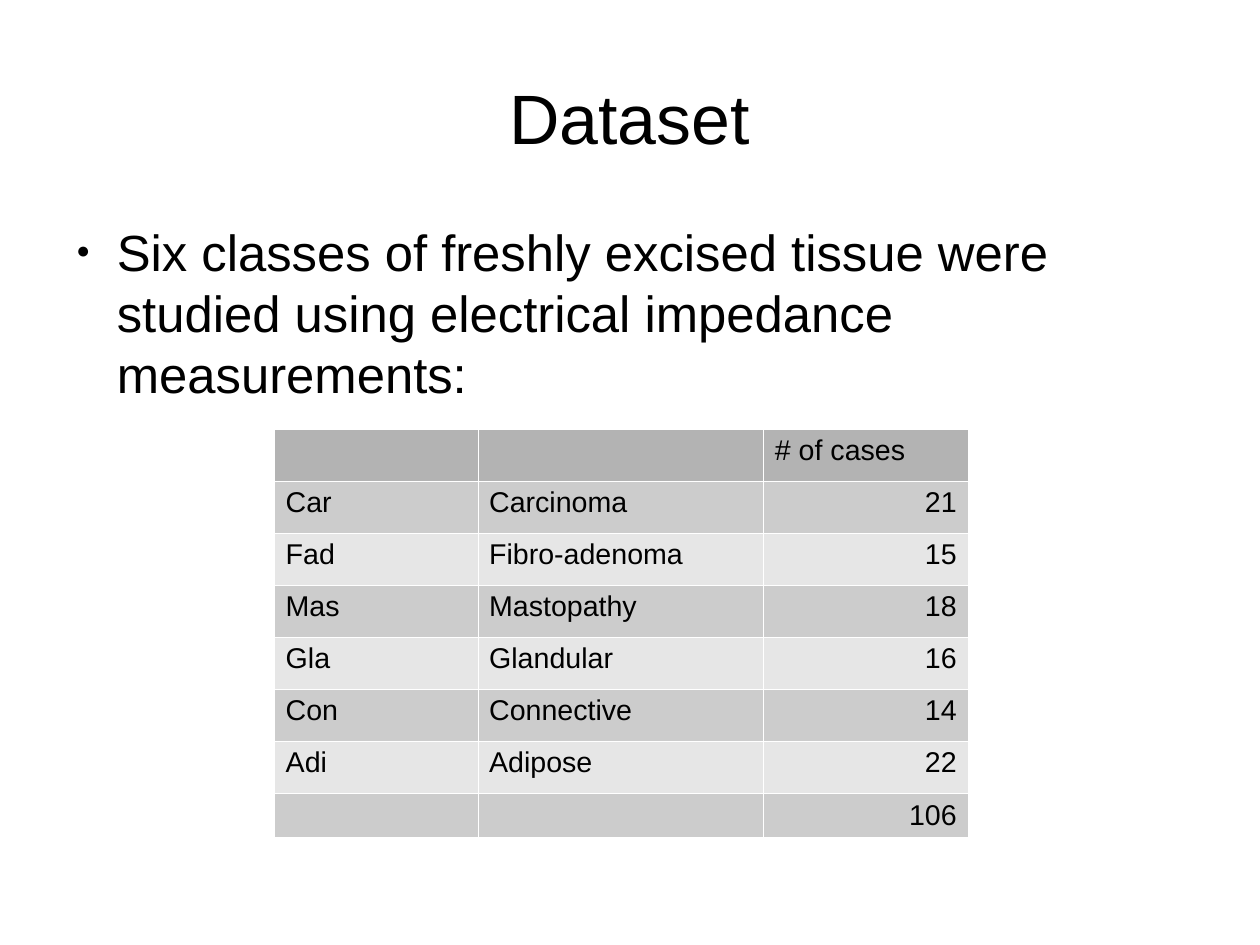
from lxml import etree
from pptx import Presentation
from pptx.dml.color import RGBColor
from pptx.enum import text as t
from pptx.oxml.ns import qn
from pptx.util import Pt

BLACK = RGBColor(0x00, 0x00, 0x00)
WHITE = RGBColor(0xFF, 0xFF, 0xFF)
HEAD = RGBColor(0xB3, 0xB3, 0xB3)
DARK = RGBColor(0xCC, 0xCC, 0xCC)
LIGHT = RGBColor(0xE6, 0xE6, 0xE6)
FONT = "Arial"

ROWS = [
    ("", "", "# of cases"),
    ("Car", "Carcinoma", "21"),
    ("Fad", "Fibro-adenoma", "15"),
    ("Mas", "Mastopathy", "18"),
    ("Gla", "Glandular", "16"),
    ("Con", "Connective", "14"),
    ("Adi", "Adipose", "22"),
    ("", "", "106"),
]
COLS = (128.16, 180, 128.88)
ROW_H, LAST_H = 32.85, 27.4


def style(para, size):
    for run in para.runs:
        run.font.size = Pt(size)
        run.font.name = FONT
        run.font.color.rgb = BLACK


def style_empty(para, size):
    """Give a paragraph without runs its font, which sets the row height."""
    end = etree.SubElement(para._p, qn("a:endParaRPr"), sz=str(size * 100))
    etree.SubElement(end, qn("a:latin"), typeface=FONT)


def fill_holder(holder, box, words, size, anchor):
    """Place a placeholder in the box, set its text and return the paragraph."""
    holder.left, holder.top, holder.width, holder.height = map(Pt, box)
    frame = holder.text_frame
    frame.text = words
    frame.word_wrap = True
    frame.auto_size = t.MSO_AUTO_SIZE.NONE
    frame.vertical_anchor = anchor
    frame.margin_left = frame.margin_right = 0
    frame.margin_top = frame.margin_bottom = 0
    para = frame.paragraphs[0]
    style(para, size)
    return para


def add_title(slide, box):
    para = fill_holder(slide.shapes.title, box, "Dataset", 44,
                       t.MSO_ANCHOR.MIDDLE)
    para.alignment = t.PP_ALIGN.CENTER


def add_body(slide, box):
    words = ("Six classes of freshly excised tissue were studied using "
             "electrical impedance measurements:")
    para = fill_holder(slide.placeholders[1], box, words, 32,
                       t.MSO_ANCHOR.TOP)
    para.space_before = Pt(14.2)
    para.line_spacing = 1.0
    props = para._p.get_or_add_pPr()
    props.set("marL", str(Pt(34)))
    props.set("indent", str(Pt(-25.5)))
    tint = etree.SubElement(props, qn("a:buClr"))
    etree.SubElement(tint, qn("a:srgbClr"), val=str(BLACK))
    etree.SubElement(props, qn("a:buSzPct"), val="45000")
    etree.SubElement(props, qn("a:buFont"), typeface=FONT)
    etree.SubElement(props, qn("a:buChar"), char="●")


def add_edges(cell):
    """Draw thin white borders, which must come before the cell's fill."""
    props = cell._tc.get_or_add_tcPr()
    for i, side in enumerate(("lnL", "lnR", "lnT", "lnB")):
        line = etree.Element(qn("a:" + side), w=str(Pt(0.06)))
        solid = etree.SubElement(line, qn("a:solidFill"))
        etree.SubElement(solid, qn("a:srgbClr"), val=str(WHITE))
        props.insert(i, line)


def add_cases(slide, box):
    table = slide.shapes.add_table(len(ROWS), len(COLS), *map(Pt, box)).table
    table.first_row = table.horz_banding = False
    for col, width in zip(table.columns, COLS):
        col.width = Pt(width)
    for r, row in enumerate(ROWS):
        last = r == len(ROWS) - 1
        table.rows[r].height = Pt(LAST_H if last else ROW_H)
        shade = HEAD if r == 0 else DARK if r % 2 else LIGHT
        for c, words in enumerate(row):
            cell = table.cell(r, c)
            cell.fill.solid()
            cell.fill.fore_color.rgb = shade
            add_edges(cell)
            para = cell.text_frame.paragraphs[0]
            if not words:
                style_empty(para, 18)
                continue
            para.text = words
            style(para, 18)
            if r and c == 2:
                para.alignment = t.PP_ALIGN.RIGHT


def main():
    deck = Presentation()
    deck.slide_width, deck.slide_height = Pt(793.7), Pt(595.28)
    slide = deck.slides.add_slide(deck.slide_layouts[1])
    slide.background.fill.solid()
    slide.background.fill.fore_color.rgb = WHITE
    add_title(slide, (39.6, 23.76, 714.24, 99.36))
    add_body(slide, (39.6, 138.96, 714.24, 344.88))
    add_cases(slide, (172.8, 270, sum(COLS), 7 * ROW_H + LAST_H))
    deck.save("out.pptx")


if __name__ == "__main__":
    main()
